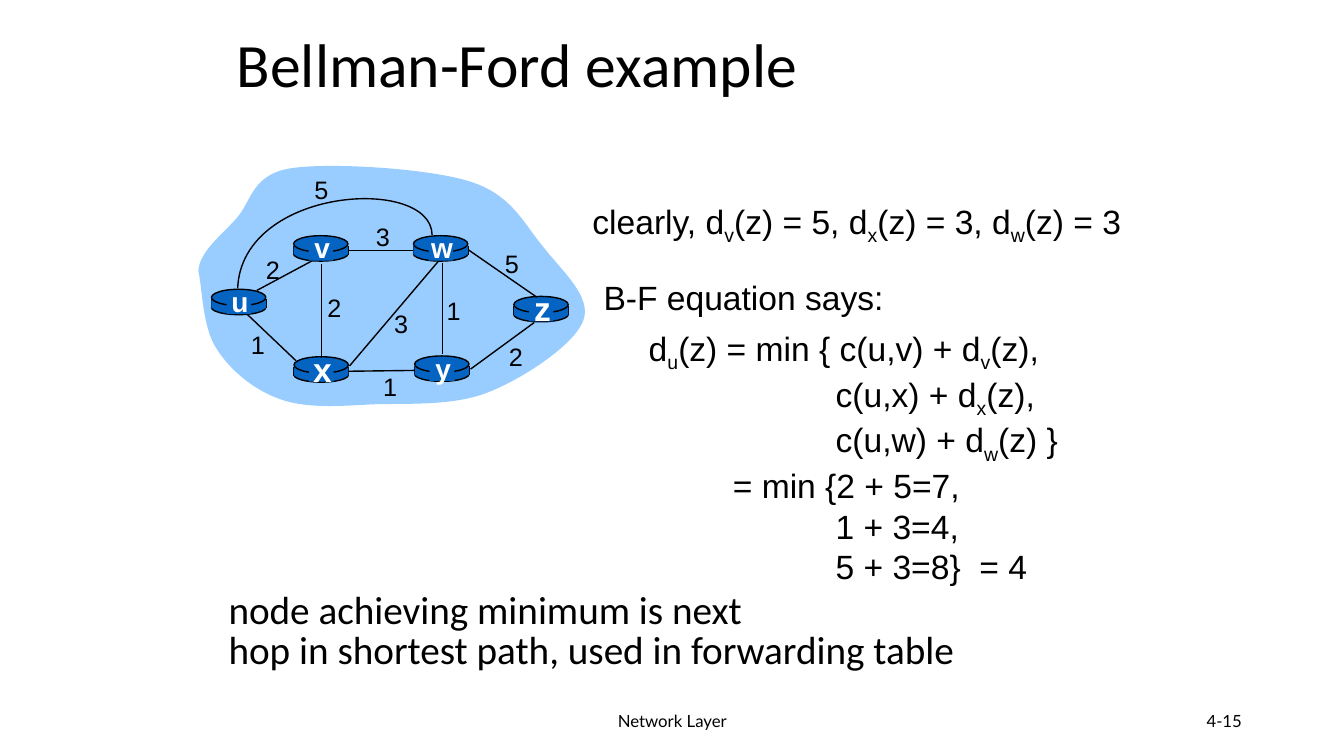
from dataclasses import dataclass

from pptx import Presentation
from pptx.dml.color import RGBColor
from pptx.enum.shapes import MSO_CONNECTOR, MSO_SHAPE
from pptx.enum.text import MSO_ANCHOR, PP_ALIGN
from pptx.oxml.ns import qn
from pptx.oxml.xmlchemy import OxmlElement
from pptx.util import Cm, Pt

STRAIGHT = MSO_CONNECTOR.STRAIGHT
OVAL, RECTANGLE = MSO_SHAPE.OVAL, MSO_SHAPE.RECTANGLE
TOP, MIDDLE = MSO_ANCHOR.TOP, MSO_ANCHOR.MIDDLE
LEFT, CENTER, RIGHT = PP_ALIGN.LEFT, PP_ALIGN.CENTER, PP_ALIGN.RIGHT
LEFT_SIDE, RIGHT_SIDE = 1, 3


@dataclass(frozen=True)
class Theme:
    ink: RGBColor = RGBColor(0x00, 0x00, 0x00)
    paper: RGBColor = RGBColor(0xFF, 0xFF, 0xFF)
    cloud: RGBColor = RGBColor(0x99, 0xCC, 0xFF)
    router: RGBColor = RGBColor(0x05, 0x63, 0xC1)
    heading_font: str = "Calibri"
    math_font: str = "Arial"
    footer_font: str = "Lato"
    title: int = 44
    conclusion: int = 28
    math: int = 24
    node: int = 20
    cost: int = 18
    footer: int = 12
    line: int = 1


THEME = Theme()

# All coordinates are centimetres; those of the network count from its box
CLOUD = [
    (0, 2.74), (0.03, 2.24), (0.58, 1.85), (0.97, 1.4), (1.35, 0.97), (1.35, 0.3),
    (2.34, 0.15), (3.3, 0), (5.77, 0.15), (6.83, 0.48), (7.9, 0.81), (8.2, 1.55),
    (8.69, 2.13), (9.14, 2.72), (9.93, 3.38), (9.7, 3.99), (9.47, 4.6), (8.2, 5.44),
    (7.32, 5.79), (6.43, 6.15), (5.26, 6.07), (4.37, 6.1), (3.51, 6.15), (2.69, 6.2),
    (2.06, 5.97), (1.4, 5.74), (0.79, 5.23), (0.46, 4.7), (0.1, 4.17), (0.1, 3.15),
    (0, 2.74),
]
LINK_U_W = [(5.89, 1.83), (5.87, 0.33), (1.09, 0.61), (0.99, 3.18)]
LINK_U_V = (1.47, 3.23, 3.0, 2.41)
LINKS = [
    (6.15, 2.54, 6.15, 4.83),  # w to y
    (3.1, 2.57, 3.1, 4.93),  # v to x
    (3.81, 5.13, 6.05, 2.49),  # x to w
    (6.86, 5.21, 8.46, 4.04),  # y to z
    (2.46, 5.0, 1.24, 3.84),  # x to u
    (8.53, 3.4, 6.81, 2.21),  # z to w
]
LEVEL_LINKS = ["vw", "xy"]
ROUTERS = {  # left, top, label size
    "u": (0.33, 3.2, THEME.node), "x": (2.41, 4.9, THEME.math),
    "v": (2.4, 1.85, THEME.node), "w": (5.42, 1.85, THEME.node),
    "y": (5.45, 4.88, THEME.node), "z": (7.95, 3.38, THEME.math),
}
COSTS = [  # centre of each number
    ("2", 1.88, 2.69), ("2", 3.43, 3.66), ("1", 1.5, 4.6), ("3", 5.11, 4.06),
    ("1", 4.83, 5.64), ("1", 6.43, 3.73), ("2", 8.0, 4.9), ("5", 7.9, 2.54),
    ("3", 4.65, 1.88), ("5", 3.1, 0.69),
]

# Each line is (indent, text); "_" puts the next letter below the line
KNOWN_DISTANCES = [(0, "clearly, d_v(z) = 5, d_x(z) = 3, d_w(z) = 3")]
EQUATION = [
    (0, "d_u(z) = min { c(u,v) + d_v(z),"),
    (4.71, "c(u,x) + d_x(z),"),
    (4.71, "c(u,w) + d_w(z) }"),
    (2.12, "= min {2 + 5=7,"),
    (4.71, "1 + 3=4,"),
    (4.71, "5 + 3=8}  = 4"),
]
CONCLUSION = [
    (0, "node achieving minimum is next"),
    (0, "hop in shortest path, used in forwarding table"),
]


def add_run(paragraph, text, font, size, color, bold, lowered):
    run = paragraph.add_run()
    run.text = text
    run.font.name, run.font.size, run.font.bold = font, Pt(size), bold
    run.font.color.rgb = color
    if lowered:
        run.font._element.set("baseline", "-25000")


def add_text(shapes, box, lines, font, size, color=THEME.ink, bold=False,
             align=LEFT, anchor=TOP, spacing=1.0):
    frame = shapes.add_textbox(*map(Cm, box)).text_frame
    frame.word_wrap = True
    frame.vertical_anchor = anchor
    for number, (indent, line) in enumerate(lines):
        paragraph = frame.add_paragraph() if number else frame.paragraphs[0]
        paragraph.alignment, paragraph.line_spacing = align, spacing
        if indent:
            paragraph._p.get_or_add_pPr().set("marL", str(Cm(indent)))
        first, *others = line.split("_")
        add_run(paragraph, first, font, size, color, bold, False)
        for piece in others:
            add_run(paragraph, piece[0], font, size, color, bold, True)
            add_run(paragraph, piece[1:], font, size, color, bold, False)


def add_centered(shapes, x, y, text, size, color=THEME.ink, bold=False):
    box = (x - 0.6, y - 0.65, 1.2, 1.3)
    add_text(shapes, box, [(0, text)], THEME.math_font, size, color, bold, CENTER, MIDDLE)


def add_line(shapes, x1, y1, x2, y2):
    connector = shapes.add_connector(STRAIGHT, Cm(x1), Cm(y1), Cm(x2), Cm(y2))
    connector.line.color.rgb, connector.line.width = THEME.ink, Pt(THEME.line)
    connector.element.spPr.append(OxmlElement("a:effectLst"))
    return connector


def add_solid(shapes, kind, left, top, width, height, outlined=False):
    shape = shapes.add_shape(kind, Cm(left), Cm(top), Cm(width), Cm(height))
    shape.shadow.inherit = False
    shape.fill.solid()
    shape.fill.fore_color.rgb = THEME.router
    if outlined:
        shape.line.color.rgb, shape.line.width = THEME.ink, Pt(THEME.line)
    else:
        shape.line.fill.background()
    return shape


def add_curve(shapes, left, top, points, close):
    """Draw a start point followed by cubic curves of three points each."""
    start, *rest = [(Cm(left + x), Cm(top + y)) for x, y in points]
    builder = shapes.build_freeform(*start)
    builder.add_line_segments(rest, close=close)
    shape = builder.convert_to_shape()
    shape.shadow.inherit = False
    segments = shape.element.xpath(".//a:lnTo")
    for index in range(0, len(rest), 3):
        curve = OxmlElement("a:cubicBezTo")
        segments[index].addprevious(curve)
        for segment in segments[index:index + 3]:
            curve.append(segment.find(qn("a:pt")))
            segment.getparent().remove(segment)
    return shape


def add_router(shapes, left, top):
    """Draw a flat cylinder and return its body, which links can join."""
    width = 1.37
    add_solid(shapes, OVAL, left, top + 0.28, width, 0.36, outlined=True)
    for x in (left, left + width):
        add_line(shapes, x, top + 0.25, x, top + 0.48)
    body = add_solid(shapes, RECTANGLE, left, top + 0.25, width, 0.23)
    add_solid(shapes, OVAL, left, top, width, 0.41, outlined=True)
    return body


def add_network(slide, left, top):
    shapes = slide.shapes.add_group_shape().shapes

    def add_link(x1, y1, x2, y2):
        return add_line(shapes, left + x1, top + y1, left + x2, top + y2)

    # Cloud, with one link that runs behind the routers
    cloud = add_curve(shapes, left, top, CLOUD, True)
    cloud.fill.solid()
    cloud.fill.fore_color.rgb = THEME.cloud
    cloud.line.fill.background()
    add_link(*LINK_U_V)

    # Routers and the links over them
    bodies = {name: add_router(shapes, left + x, top + y)
              for name, (x, y, size) in ROUTERS.items()}
    for link in LINKS:
        add_link(*link)
    for first, second in LEVEL_LINKS:
        connector = add_link(0, 0, 1, 0)
        connector.begin_connect(bodies[first], RIGHT_SIDE)
        connector.end_connect(bodies[second], LEFT_SIDE)
    arc = add_curve(shapes, left, top, LINK_U_W, False)
    arc.fill.background()
    arc.line.color.rgb, arc.line.width = THEME.ink, Pt(THEME.line)

    # Names and link costs
    for name, (x, y, size) in ROUTERS.items():
        add_solid(shapes, RECTANGLE, left + x + 0.38, top + y + 0.05, 0.62, 0.58)
        add_centered(shapes, left + x + 0.72, top + y + 0.3, name, size, THEME.paper, True)
    for cost, x, y in COSTS:
        add_centered(shapes, left + x, top + y, cost, THEME.cost)


def add_derivation(slide, left, top):
    for x, y, width, height, lines in [
        (0, 0, 14.4, 1.27, KNOWN_DISTANCES),
        (0.28, 1.93, 8, 1.27, [(0, "B-F equation says:")]),
        (1.42, 3.2, 11.2, 6.4, EQUATION),
    ]:
        box = (left + x, top + y, width, height)
        add_text(slide.shapes, box, lines, THEME.math_font, THEME.math)


def add_footer(slide, top):
    for left, width, text, align in [(11.23, 11.43, "Network Layer", CENTER),
                                     (23.93, 7.62, "4-15", RIGHT)]:
        add_text(slide.shapes, (left, top, width, 1.02), [(0, text)], THEME.footer_font,
                 THEME.footer, align=align, anchor=MIDDLE)


def main():
    presentation = Presentation()
    presentation.slide_width, presentation.slide_height = Cm(33.87), Cm(19.05)
    slide = presentation.slides.add_slide(presentation.slide_layouts[6])
    add_footer(slide, 17.65)
    add_text(slide.shapes, (5.72, 0.48, 21.59, 2.44), [(0, "Bellman-Ford example")],
             THEME.heading_font, THEME.title, anchor=MIDDLE, spacing=0.9)
    add_network(slide, 5, 4.09)
    add_derivation(slide, 14.68, 4.93)
    add_text(slide.shapes, (5.51, 14.81, 20.45, 2.29), CONCLUSION,
             THEME.heading_font, THEME.conclusion, spacing=0.85)
    presentation.save("out.pptx")


if __name__ == "__main__":
    main()
